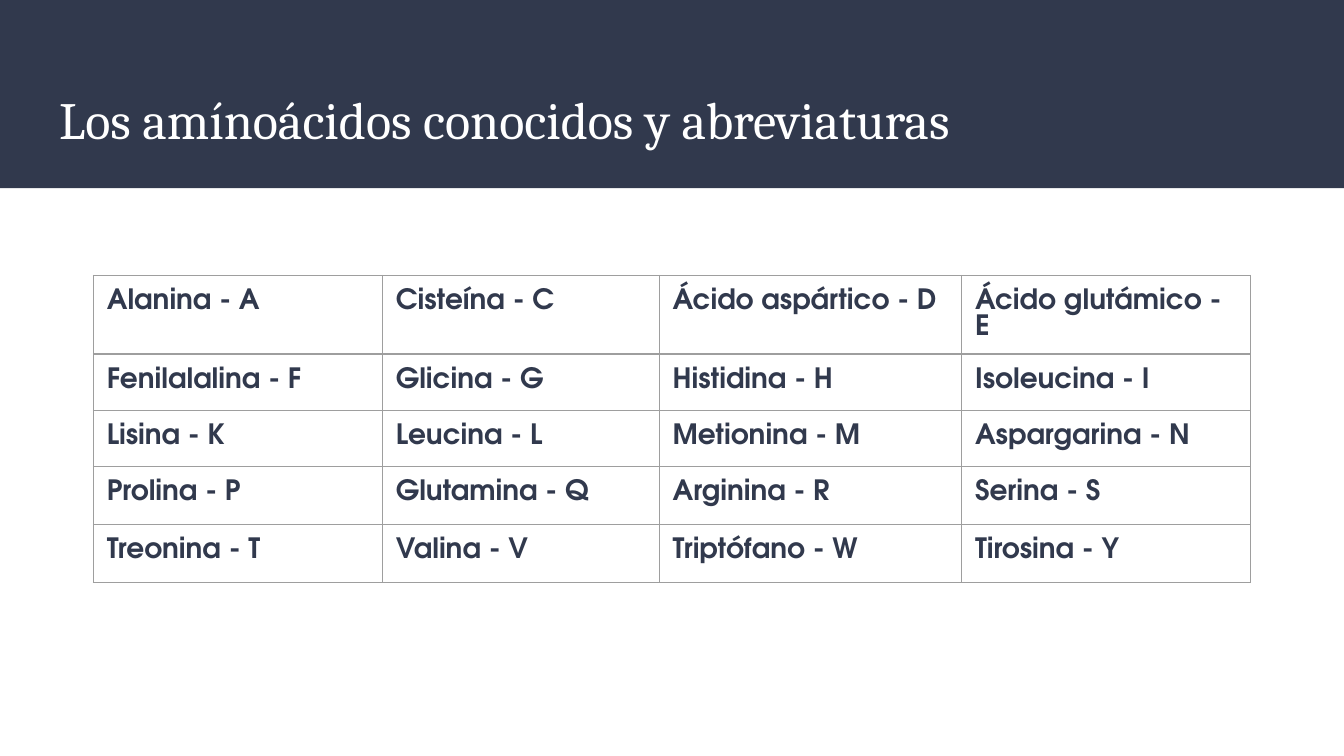
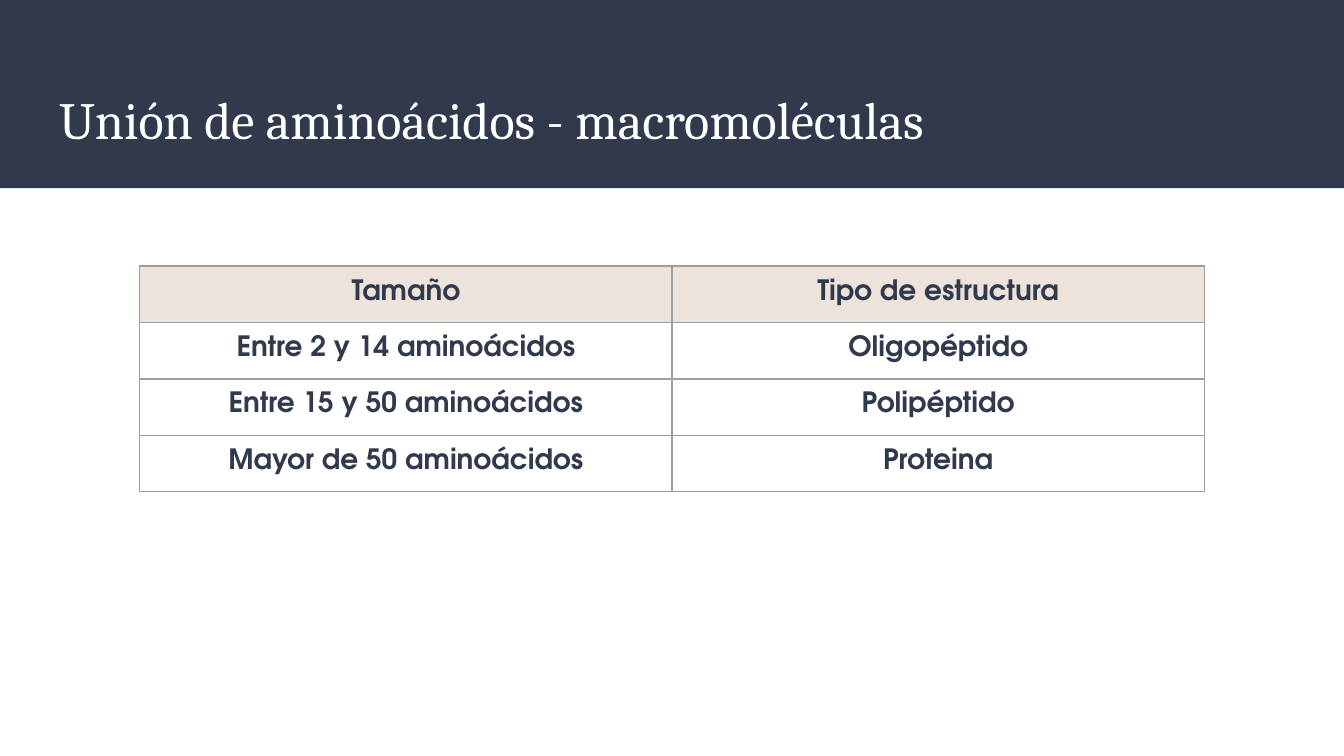
from lxml.etree import SubElement
from pptx import Presentation
from pptx.dml.color import RGBColor
from pptx.enum.shapes import MSO_SHAPE as Shape
from pptx.enum.text import MSO_ANCHOR as Anchor, MSO_AUTO_SIZE as AutoSize, PP_ALIGN as Align
from pptx.oxml.ns import qn
from pptx.util import Inches, Pt

NAVY = RGBColor(0x31, 0x39, 0x4D)
WHITE = RGBColor(0xFF, 0xFF, 0xFF)
SAND = RGBColor(0xED, 0xE3, 0xDA)
GREY = RGBColor(0x9E, 0x9E, 0x9E)
TITLE_FONT = "Cambria"
BODY_FONT = "TeX Gyre Adventor"
MARGIN = Inches(0.1)

slides = [
    {
        "title": "Los amínoácidos conocidos y abreviaturas",
        "top": 2.05,
        "columns": [2.15, 2.06, 2.25, 2.15],
        "rows": [0.42, 0.42, 0.42, 0.43, 0.43],
        "align": Align.LEFT,
        "header_fill": None,
        "cells": [
            ["Alanina - A", "Cisteı́na - C", "Ácido aspártico - D", "Ácido glutámico - E"],
            ["Fenilalalina - F", "Glicina - G", "Histidina - H", "Isoleucina - I"],
            ["Lisina - K", "Leucina - L", "Metionina - M", "Aspargarina - N"],
            ["Prolina - P", "Glutamina - Q", "Arginina - R", "Serina - S"],
            ["Treonina - T", "Valina - V", "Triptófano - W", "Tirosina - Y"],
        ],
    },
    {
        "title": "Unión de aminoácidos - macromoléculas",
        "top": 1.98,
        "columns": [3.96] * 2,
        "rows": [0.42] * 4,
        "align": Align.CENTER,
        "header_fill": SAND,
        "cells": [
            ["Tamaño", "Tipo de estructura"],
            ["Entre 2 y 14 aminoácidos", "Oligopéptido"],
            ["Entre 15 y 50 aminoácidos", "Polipéptido"],
            ["Mayor de 50 aminoácidos", "Proteina"],
        ],
    },
]


def write_text(frame, text, font, size, color, bold=False, align=Align.LEFT):
    frame.margin_left = frame.margin_right = MARGIN
    frame.margin_top = frame.margin_bottom = MARGIN
    paragraph = frame.paragraphs[0]
    paragraph.alignment = align
    run = paragraph.add_run()
    run.text = text
    run.font.name = font
    run.font.size = Pt(size)
    run.font.bold = bold
    run.font.color.rgb = color


def add_borders(cell):
    properties = cell._tc.get_or_add_tcPr()
    for side in ("lnL", "lnR", "lnT", "lnB"):
        line = SubElement(properties, qn(f"a:{side}"), w=str(Pt(0.75)))
        fill = SubElement(line, qn("a:solidFill"))
        SubElement(fill, qn("a:srgbClr"), val=str(GREY))


presentation = Presentation()
presentation.slide_width = Inches(10)
presentation.slide_height = presentation.slide_width * 9 // 16
width = presentation.slide_width

for content in slides:
    slide = presentation.slides.add_slide(presentation.slide_layouts[5])

    band = slide.shapes.add_shape(Shape.RECTANGLE, 0, 0, width, Inches(1.4))
    band.shadow.inherit = False
    band.fill.solid()
    band.fill.fore_color.rgb = NAVY
    band.line.fill.background()

    title = slide.shapes.title
    title.element.addprevious(band.element)
    title.left, title.top = Inches(0.34), Inches(0.55)
    title.width, title.height = width - 2 * title.left, Inches(0.68)
    title.text_frame.auto_size = AutoSize.NONE
    title.text_frame.vertical_anchor = Anchor.TOP
    write_text(title.text_frame, content["title"], TITLE_FONT, 28, WHITE)

    columns, rows = content["columns"], content["rows"]
    table_width = Inches(sum(columns))
    table = slide.shapes.add_table(
        len(rows), len(columns), (width - table_width) // 2,
        Inches(content["top"]), table_width, Inches(sum(rows)),
    ).table
    table.first_row = table.horz_banding = False
    for column, column_width in zip(table.columns, columns):
        column.width = Inches(column_width)
    for row, row_height, texts in zip(table.rows, rows, content["cells"]):
        row.height = Inches(row_height)
        for cell, text in zip(row.cells, texts):
            cell.margin_left = cell.margin_right = MARGIN
            cell.margin_top = cell.margin_bottom = MARGIN
            add_borders(cell)
            cell.fill.background()
            write_text(cell.text_frame, text, BODY_FONT, 15, NAVY, bold=True, align=content["align"])
    if content["header_fill"]:
        for cell in table.rows[0].cells:
            cell.fill.solid()
            cell.fill.fore_color.rgb = content["header_fill"]

presentation.save("out.pptx")
